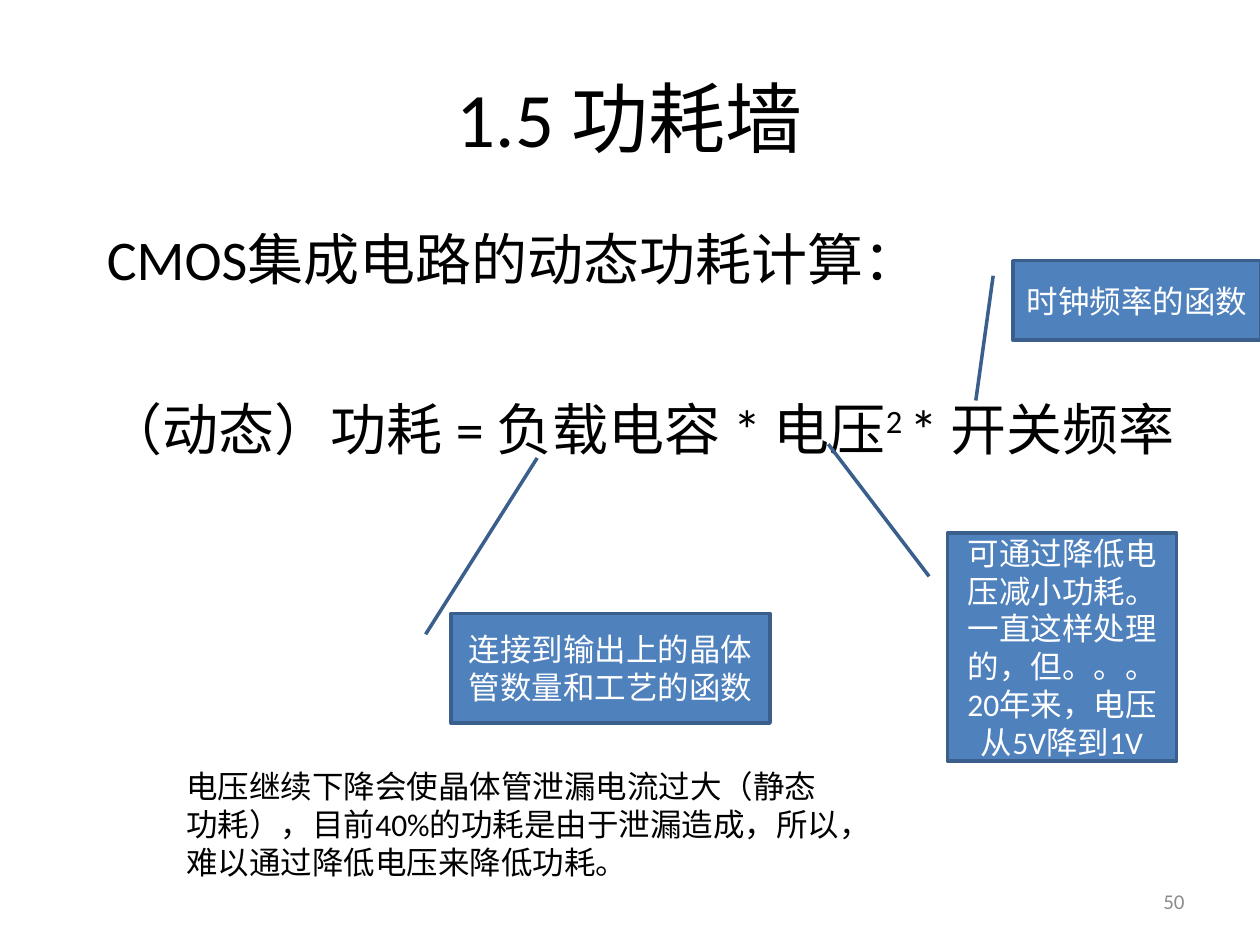
from pptx import Presentation
from pptx.dml.color import RGBColor
from pptx.enum.shapes import MSO_SHAPE as Shape
from pptx.enum.text import MSO_ANCHOR as Anchor, PP_ALIGN as Align
from pptx.util import Pt

FONT = "Calibri"
COLORS = {"ink": "000000", "page": "8C8C8C", "fill": "4F81BD",
          "edge": "3A5F8C", "light": "FFFFFF"}

# text, box (left, top, width, height), size, color, align, anchor
TEXTS = [
    ("1.5 功耗墙", (36, 21.6, 648, 90), 44, "ink", Align.CENTER, Anchor.MIDDLE),
    ("CMOS集成电路的动态功耗计算：", (54, 124.5, 543, 46), 32, "ink",
     Align.LEFT, Anchor.TOP),
    ("电压继续下降会使晶体管泄漏电流过大（静态功耗），目前40%的功耗是由于泄漏造成，"
     "所以，难以通过降低电压来降低功耗。", (99.4, 435, 391, 72.7), 18, "ink",
     Align.LEFT, Anchor.TOP),
    ("50", (516, 500.5, 168, 28.8), 12, "page", Align.RIGHT, Anchor.MIDDLE),
]

FORMULA = [("（动态）功耗 = 负载电容 * 电压", False), ("2 ", True),
           ("* 开关频率", False)]
FORMULA_BOX = (54, 221.8, 648, 53.3)

# text, box, pointer end (y, x) as a share of the box
CALLOUTS = [
    ("连接到输出上的晶体管数量和工艺的函数",
     (257.8, 350.6, 182.2, 62.6), (-1.42, 0.27)),
    ("可通过降低电压减小功耗。一直这样处理的，但。。。\n20年来，电压从5V降到1V",
     (541.4, 304.6, 131, 130.3), (-0.39, -0.52)),
    ("时钟频率的函数", (578.9, 149, 141.8, 45.4), (1.76, -0.15)),
]
START = (0.19, -0.08)


def color(name):
    return RGBColor.from_string(COLORS[name])


def style(frame, size, tone, align, anchor):
    frame.word_wrap = True
    frame.vertical_anchor = anchor
    for para in frame.paragraphs:
        para.alignment = align
        para.font.name = FONT
        para.font.size = Pt(size)
        para.font.color.rgb = color(tone)


def add_box(slide, box):
    return slide.shapes.add_textbox(*map(Pt, box)).text_frame


def add_formula(slide):
    frame = add_box(slide, FORMULA_BOX)
    para = frame.paragraphs[0]
    for text, raised in FORMULA:
        run = para.add_run()
        run.text = text
        if raised:
            run.font._element.set("baseline", "30000")
    style(frame, 32, "ink", Align.LEFT, Anchor.TOP)
    para.space_before = Pt(6.4)


def add_callout(slide, text, box, end):
    shape = slide.shapes.add_shape(Shape.LINE_CALLOUT_1, *map(Pt, box))
    for i, value in enumerate(START + end):
        shape.adjustments[i] = value
    shape.shadow.inherit = False
    shape.fill.solid()
    shape.fill.fore_color.rgb = color("fill")
    shape.line.color.rgb = color("edge")
    shape.line.width = Pt(2)
    shape.text_frame.text = text
    style(shape.text_frame, 18, "light", Align.CENTER, Anchor.MIDDLE)


def main():
    deck = Presentation()
    deck.slide_width, deck.slide_height = Pt(720), Pt(540)
    slide = deck.slides.add_slide(deck.slide_layouts[6])
    for text, box, *look in TEXTS:
        frame = add_box(slide, box)
        frame.text = text
        style(frame, *look)
    add_formula(slide)
    for callout in CALLOUTS:
        add_callout(slide, *callout)
    deck.save("out.pptx")


if __name__ == "__main__":
    main()
